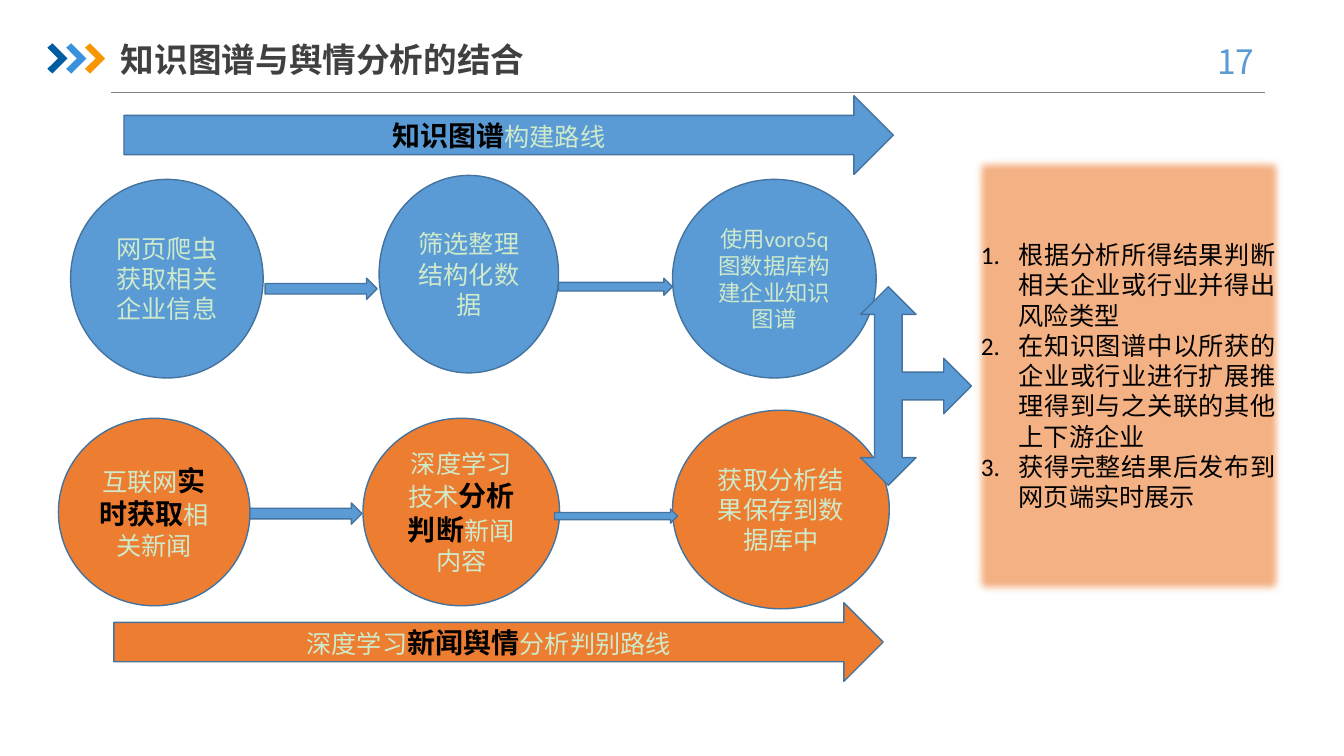
from lxml.etree import SubElement as Sub
from pptx import Presentation
from pptx.dml.color import RGBColor as Rgb
from pptx.enum.lang import MSO_LANGUAGE_ID as Lang
from pptx.enum.shapes import MSO_CONNECTOR as Conn, MSO_SHAPE as Kind
from pptx.enum.text import MSO_ANCHOR as Anchor, MSO_AUTO_SIZE as Auto, PP_ALIGN as Align
from pptx.oxml.ns import qn
from pptx.util import Inches, Pt

HEX = {
    "blue": "5B9BD5", "orange": "ED7D31", "peach": "F4B183", "edge": "43739E",
    "pale": "CEEACA", "black": "000000", "dark": "404040", "gray": "808080",
    "navy": "005DA2", "sky": "3992DB", "gold": "F79600",
}
SANS = "Noto Sans CJK SC"
BODY = "Calibri"


def write(frame, *paras, size=18, color="pale", font=BODY, bold=False,
          align=Align.CENTER, anchor=Anchor.MIDDLE, listed=False):
    """Fill a frame with paragraphs; parts between asterisks are stressed."""
    frame.word_wrap = True
    frame.auto_size = Auto.NONE
    frame.vertical_anchor = anchor
    for i, words in enumerate(paras):
        para = frame.add_paragraph() if i else frame.paragraphs[0]
        para.alignment = align
        if listed:
            props = para._p.get_or_add_pPr()
            props.set("marL", "342900")
            props.set("indent", "-342900")
            Sub(props, qn("a:buFont"), typeface=SANS)
            Sub(props, qn("a:buAutoNum"), type="arabicPeriod")
        for j, part in enumerate(words.split("*")):
            if not part:
                continue
            stress = j % 2 == 1
            run = para.add_run()
            run.text = part
            face = run.font
            face.name = font
            face.size = Pt(size + 2 if stress else size)
            face.bold = bold or stress
            face.language_id = Lang.SIMPLIFIED_CHINESE
            face.color.rgb = Rgb.from_string(HEX["black" if stress else color])
            Sub(run._r.get_or_add_rPr(), qn("a:ea"), typeface=font)


class Board:
    """Draw on one slide laid out in 40 columns by 22.5 rows."""

    def __init__(self, deck):
        self.cell = Inches(1) / 3
        self.slide = deck.slides.add_slide(deck.slide_layouts[5])
        self.shapes = self.slide.shapes

    def span(self, *cells):
        return [round(n * self.cell) for n in cells]

    def title(self, words, box):
        head = self.shapes.title
        head.left, head.top, head.width, head.height = self.span(*box)
        write(head.text_frame, words, size=24, color="dark", font=SANS,
              bold=True, align=Align.LEFT, anchor=Anchor.TOP)

    def label(self, words, box, **style):
        write(self.shapes.add_textbox(*self.span(*box)).text_frame, words, **style)

    def paint(self, shape, fill, edge=None):
        shape.shadow.inherit = False
        shape.fill.solid()
        shape.fill.fore_color.rgb = Rgb.from_string(HEX[fill])
        if edge:
            shape.line.color.rgb = Rgb.from_string(HEX[edge])
            shape.line.width = Pt(1)
        else:
            shape.line.fill.background()

    def block(self, kind, box, fill, *paras, turn=0, **style):
        shape = self.shapes.add_shape(kind, *self.span(*box))
        self.paint(shape, fill, "edge")
        shape.rotation = turn
        if paras:
            write(shape.text_frame, *paras, **style)
        return shape

    def soft(self, shape, size):
        glow = shape._element.spPr.find(qn("a:effectLst"))
        Sub(glow, qn("a:softEdge"), rad=str(Pt(size)))

    def rule(self, left, right, row):
        line = self.shapes.add_connector(Conn.STRAIGHT, *self.span(left, row, right, row))
        line.line.color.rgb = Rgb.from_string(HEX["gray"])
        line.line.width = Pt(0.5)
        Sub(line._element.spPr, qn("a:effectLst"))

    def chevron(self, col, row, fill):
        dots = [(0, 0.13), (0.15, 0), (0.6, 0.45), (0.15, 0.9), (0, 0.76), (0.32, 0.45)]
        start, *rest = [self.span(col + x, row + y) for x, y in dots]
        form = self.shapes.build_freeform(*start)
        form.add_line_segments(rest, close=True)
        self.paint(form.convert_to_shape(), fill)


def main():
    """Build the slide and save it."""
    deck = Presentation()
    deck.slide_width, deck.slide_height = Inches(13.33), Inches(7.5)
    board = Board(deck)
    board.rule(3.3, 37.65, 2.75)
    for i, fill in enumerate(("navy", "sky", "gold")):
        board.chevron(1.41 + 0.56 * i, 1.29, fill)
    board.label("17", (35.3, 1.07, 2.94, 1.5), size=24, color="blue",
                font=SANS, anchor=Anchor.TOP)
    board.title("知识图谱与舆情分析的结合", (3.3, 1.02, 15.96, 1.5))

    steps = [
        ((2.1, 5.34, 5.73, 5.91), "blue", "网页爬虫获取相关企业信息", 18),
        ((11.28, 5.22, 5.34, 5.88), "blue", "筛选整理结构化数据", 18),
        ((20.01, 5.34, 6.06, 5.91), "blue", "使用voro5q图数据库构建企业知识图谱", 16),
        ((1.74, 12.45, 5.7, 5.58), "orange", "互联网*实时获取*相关新闻", 18),
        ((10.8, 12.45, 5.85, 5.58), "orange", "深度学习技术*分析判断*新闻内容", 18),
        ((20.01, 12.21, 6.45, 5.91), "orange", "获取分析结果保存到数据库中", 18),
    ]
    for box, fill, words, size in steps:
        board.block(Kind.OVAL, box, fill, words, size=size)

    panel = board.block(
        Kind.RECTANGLE, (28.89, 4.59, 9.36, 13.17), "peach",
        "根据分析所得结果判断相关企业或行业并得出风险类型",
        "在知识图谱中以所获的企业或行业进行扩展推理得到与之关联的其他上下游企业",
        "获得完整结果后发布到网页端实时展示",
        color="black", align=Align.JUSTIFY, listed=True)
    board.soft(panel, 6)

    routes = [
        (3.69, 2.85, "blue", "*知识图谱*构建路线"),
        (3.39, 17.94, "orange", "深度学习*新闻舆情*分析判别路线"),
    ]
    for col, row, fill, words in routes:
        board.block(Kind.RIGHT_ARROW, (col, row, 22.89, 2.34), fill, words)

    links = [(7.89, 8.28, 3.33, 0.63), (16.62, 8.28, 3.39, 0.51),
             (7.44, 14.97, 3.33, 0.63), (16.5, 15.15, 3.66, 0.42)]
    for box in links:
        board.block(Kind.RIGHT_ARROW, box, "blue")
    board.block(Kind.LEFT_RIGHT_UP_ARROW, (24.3, 9.84, 5.91, 3.3), "blue", turn=90)
    deck.save("out.pptx")


if __name__ == "__main__":
    main()
